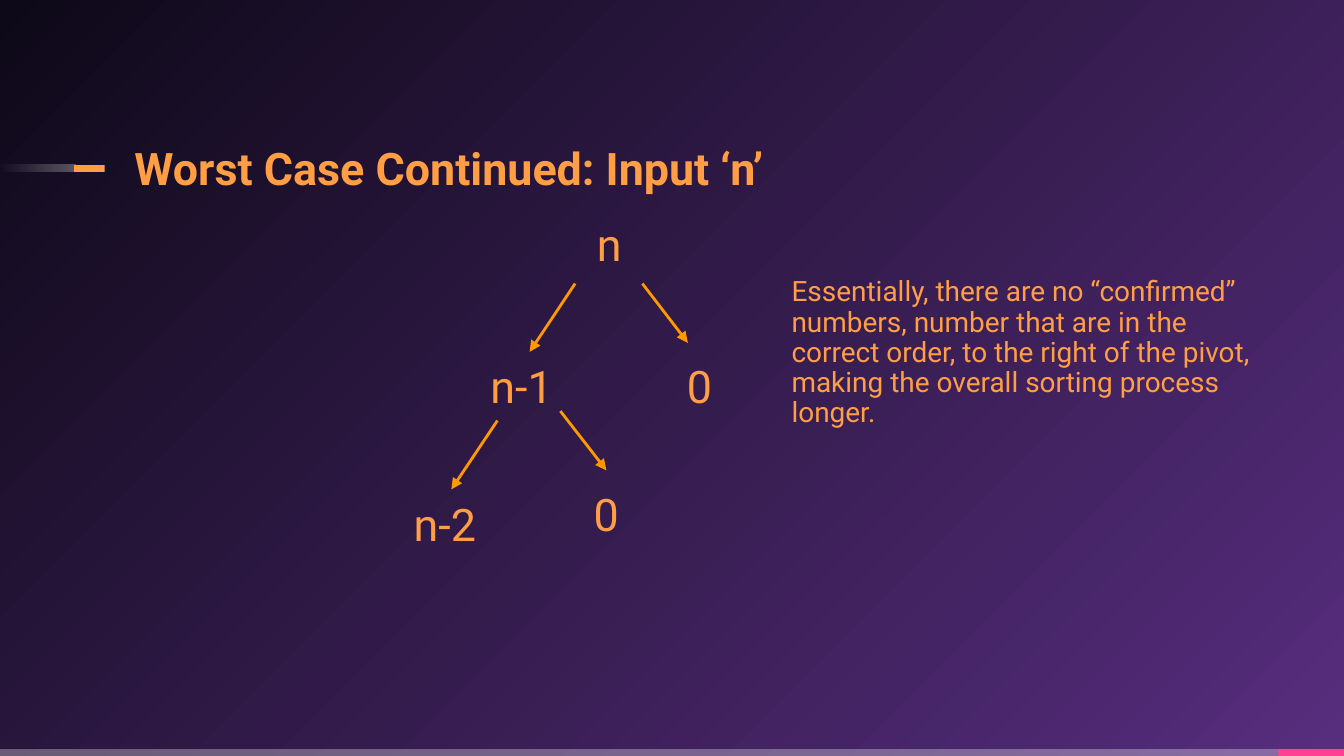
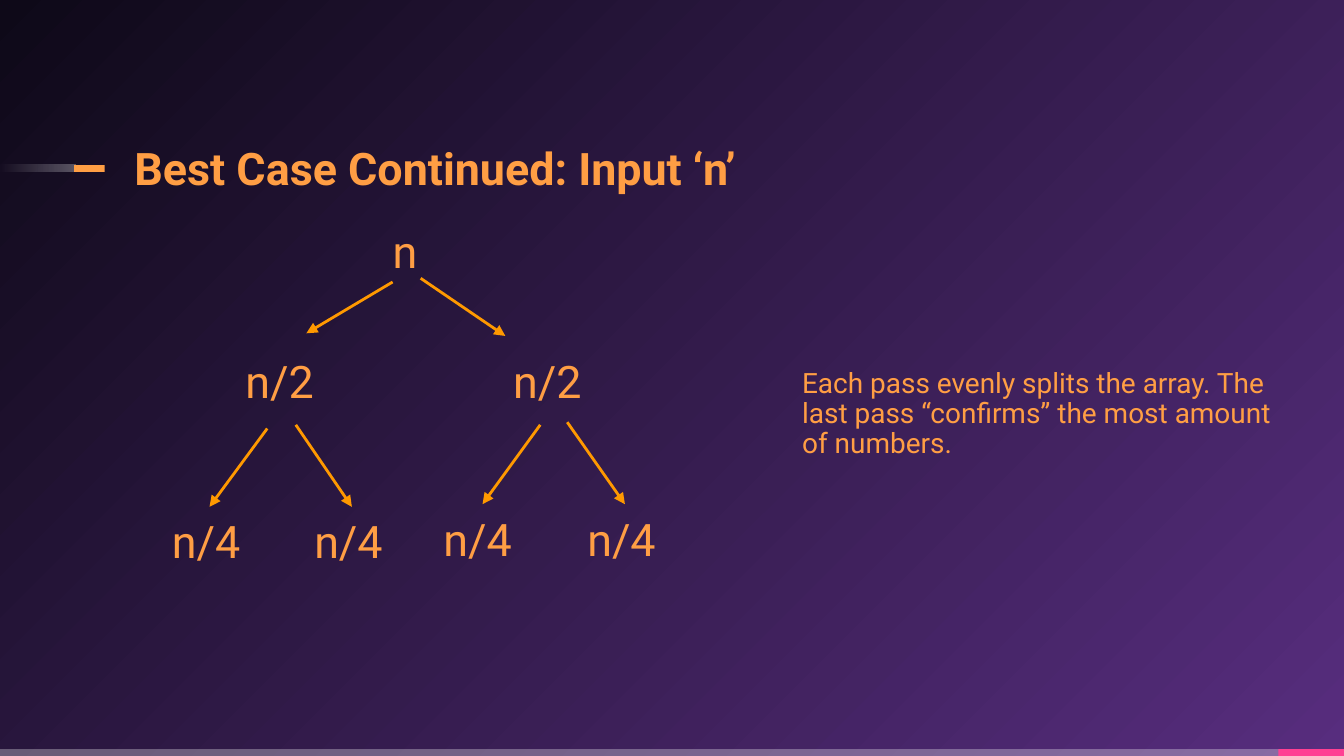
"""Build two slides that compare the worst and best case recursion trees of a sort."""
from dataclasses import dataclass

from lxml.etree import SubElement
from pptx import Presentation
from pptx.dml.color import RGBColor
from pptx.enum.shapes import MSO_CONNECTOR as Connector, MSO_SHAPE as Preset
from pptx.enum.text import MSO_ANCHOR as Anchor, MSO_AUTO_SIZE as AutoSize
from pptx.oxml.ns import qn
from pptx.slide import Slide
from pptx.util import Cm, Pt

COLORS = {
    "text": "FF9E44",
    "arrow": "FF9900",
    "pink": "FF4093",
    "white": "FFFFFF",
    "violet": "572D7E",
    "night": "0E0918",
}
FONT = "Roboto"
WIDTH, HEIGHT = 25.4, 14.29
BAND = 0.13


@dataclass(frozen=True)
class Node:
    """A label of the tree, placed by the corner of its box."""
    label: str
    left: float
    top: float
    width: float = 1.96


@dataclass(frozen=True)
class Arrow:
    """An arrow from a parent to a child."""
    start: tuple[float, float]
    end: tuple[float, float]


@dataclass(frozen=True)
class TreeSlide:
    """A title, a tree and a note beside it."""
    title: str
    root: Node
    nodes: list[Node]
    arrows: list[Arrow]
    note: str
    note_at: tuple[float, float]


TREE_SLIDES = [
    TreeSlide(
        title="Worst Case Continued: Input ‘n’",
        root=Node("n", 11.28, 4.37, 1.07),
        nodes=[
            Node("n-1", 9.02, 6.65),
            Node("0", 12.73, 6.65, 2.51),
            Node("n-2", 7.57, 9.25),
            Node("0", 10.97, 9.07, 2.51),
        ],
        arrows=[
            Arrow((10.87, 5.36), (10.01, 6.65)),
            Arrow((12.14, 5.36), (13, 6.48)),
            Arrow((9.4, 7.95), (8.53, 9.25)),
            Arrow((10.59, 7.77), (11.46, 8.89)),
        ],
        note="Essentially, there are no “confirmed” numbers, number that are in the "
             "correct order, to the right of the pivot, making the overall sorting "
             "process longer.",
        note_at=(14.96, 3.33),
    ),
    TreeSlide(
        title="Best Case Continued: Input ‘n’",
        root=Node("n", 7.42, 4.5, 1.07),
        nodes=[
            Node("n/2", 4.39, 6.55),
            Node("n/2", 9.45, 6.55),
            Node("n/4", 3, 9.58),
            Node("n/4", 5.69, 9.58),
            Node("n/4", 8.13, 9.53),
            Node("n/4", 10.85, 9.53),
        ],
        arrows=[
            Arrow((7.42, 5.33), (5.79, 6.3)),
            Arrow((7.95, 5.26), (9.55, 6.35)),
            Arrow((5.05, 8.1), (3.96, 9.58)),
            Arrow((5.59, 8.03), (6.65, 9.58)),
            Arrow((10.21, 8.03), (9.12, 9.53)),
            Arrow((10.72, 7.98), (11.81, 9.53)),
        ],
        note="Each pass evenly splits the array. The last pass “confirms” the most "
             "amount of numbers.",
        note_at=(15.16, 3.91),
    ),
]


def rgb(name: str) -> RGBColor:
    """Look up a colour of the deck."""
    return RGBColor.from_string(COLORS[name])


def add_color(parent, name: str, alpha: int = 100) -> None:
    """Append a colour with an opacity in percent."""
    color = SubElement(parent, qn("a:srgbClr"), val=COLORS[name])
    if alpha < 100:
        SubElement(color, qn("a:alpha"), val=str(alpha * 1000))


def start_gradient(holder, stops: list[tuple[str, int]]):
    """Swap the solid fill in holder for a gradient between two stops."""
    solid = next(holder.iter(qn("a:solidFill")))
    parent = solid.getparent()
    gradient = SubElement(parent, qn("a:gradFill"), rotWithShape="1")
    parent.replace(solid, gradient)
    stop_list = SubElement(gradient, qn("a:gsLst"))
    for position, (name, alpha) in zip((0, 100000), stops):
        add_color(SubElement(stop_list, qn("a:gs"), pos=str(position)), name, alpha)
    return gradient


def paint_background(deck) -> None:
    """Give the master a radial gradient centred on the bottom right corner."""
    master = deck.slide_master
    master.background.fill.solid()
    master.background.fill.fore_color.rgb = rgb("night")
    gradient = start_gradient(master.element, [("violet", 100), ("night", 100)])
    circle = SubElement(gradient, qn("a:path"))
    circle.set("path", "circle")
    SubElement(circle, qn("a:fillToRect"), l="100000", t="100000")


def add_band(page: Slide, left: float, top: float, width: float, color: str):
    """Draw a thin horizontal band."""
    band = page.shapes.add_shape(Preset.RECTANGLE, Cm(left), Cm(top), Cm(width), Cm(BAND))
    band.shadow.inherit = False
    band.fill.solid()
    band.fill.fore_color.rgb = rgb(color)
    band.line.fill.background()
    return band


def add_frame(page: Slide) -> None:
    """Draw the footer bands and the dash before the title."""
    footer = add_band(page, 0, HEIGHT - BAND, 24.23, "white")
    color = next(footer.element.iter(qn("a:srgbClr")))
    SubElement(color, qn("a:alpha"), val="30000")
    add_band(page, 24.16, HEIGHT - BAND, WIDTH - 24.16, "pink")
    fade = add_band(page, 0, 3.12, 1.42, "white")
    gradient = start_gradient(fade.element, [("white", 30), ("white", 0)])
    SubElement(gradient, qn("a:lin"), ang=str(180 * 60000), scaled="0")
    add_band(page, 1.4, 3.12, 0.58, "text")


def add_text(page: Slide, text: str, *, left: float, top: float, width: float,
             height: float, size: float = 24, bold: bool = False, inset: float = 0,
             anchor: Anchor = Anchor.BOTTOM, grow: bool = False) -> None:
    """Add a text box in the style of the deck."""
    box = page.shapes.add_textbox(Cm(left), Cm(top), Cm(width), Cm(height))
    frame = box.text_frame
    frame.word_wrap = True
    frame.auto_size = AutoSize.SHAPE_TO_FIT_TEXT if grow else AutoSize.NONE
    frame.vertical_anchor = anchor
    frame.margin_left = frame.margin_right = Cm(inset)
    frame.margin_top = frame.margin_bottom = Cm(inset)
    para = frame.paragraphs[0]
    para.line_spacing = 0.9
    span = para.add_run()
    span.text = text
    span.font.name = FONT
    span.font.size = Pt(size)
    span.font.bold = bold
    span.font.color.rgb = rgb("text")


def add_node(page: Slide, node: Node) -> None:
    """Write a label below the root."""
    add_text(page, node.label, left=node.left, top=node.top, width=node.width,
             height=1.45, inset=0.25, anchor=Anchor.TOP, grow=True)


def add_arrow(page: Slide, arrow: Arrow) -> None:
    """Draw an arrow with a triangular head at its end."""
    points = [Cm(value) for value in arrow.start + arrow.end]
    connector = page.shapes.add_connector(Connector.STRAIGHT, *points)
    connector.line.color.rgb = rgb("arrow")
    connector.line.width = Pt(1.5)
    properties = connector.element.spPr
    SubElement(properties.find(qn("a:ln")), qn("a:tailEnd"), type="triangle")
    SubElement(properties, qn("a:effectLst"))


def add_tree_slide(deck, content: TreeSlide) -> None:
    """Add one slide with its title, tree and note."""
    page = deck.slides.add_slide(deck.slide_layouts[6])
    add_frame(page)
    add_text(page, content.title, left=2.54, top=2.59, width=13.36, height=1.09, bold=True)
    root = content.root
    add_text(page, root.label, left=root.left, top=root.top, width=root.width, height=0.76)
    for arrow in content.arrows:
        add_arrow(page, arrow)
    for node in content.nodes:
        add_node(page, node)
    left, top = content.note_at
    add_text(page, content.note, left=left, top=top, width=8.94, height=4.78, size=15)


def main() -> None:
    """Build and save the deck."""
    deck = Presentation()
    deck.slide_width, deck.slide_height = Cm(WIDTH), Cm(HEIGHT)
    paint_background(deck)
    for content in TREE_SLIDES:
        add_tree_slide(deck, content)
    deck.save("out.pptx")


if __name__ == "__main__":
    main()
